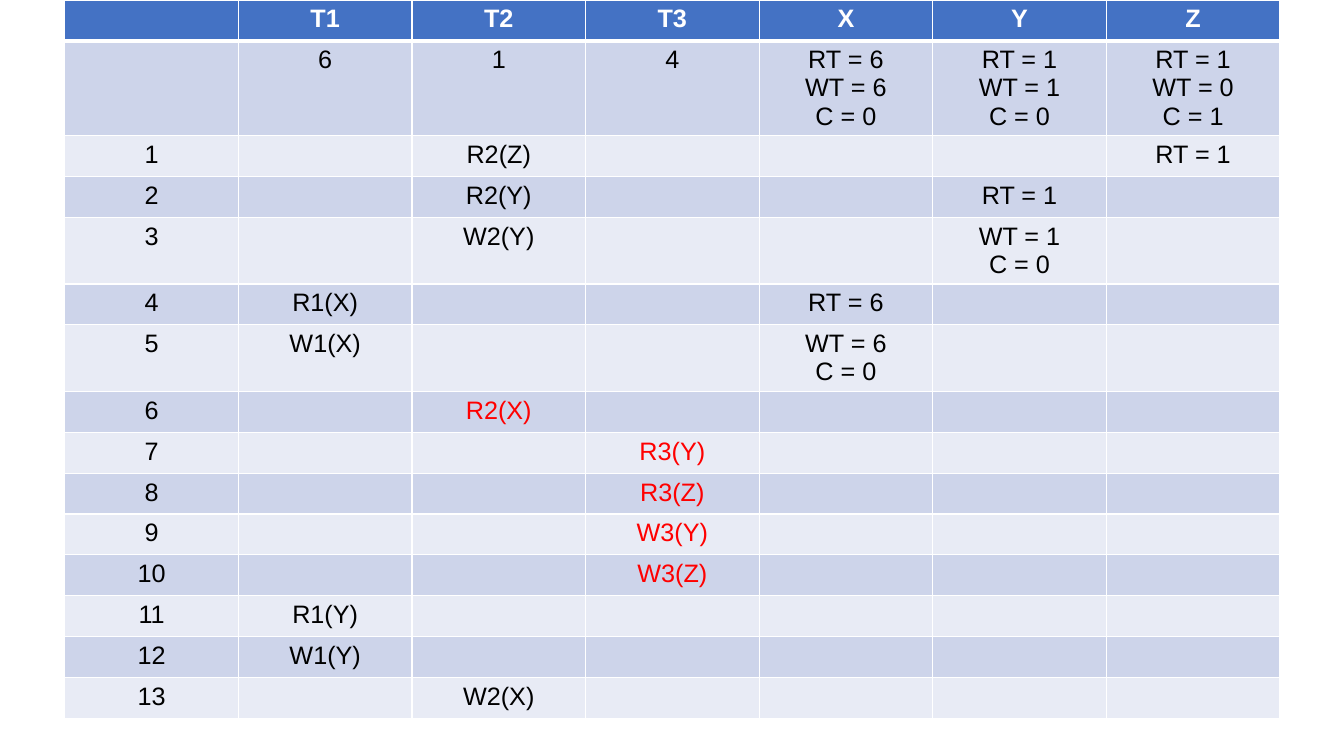
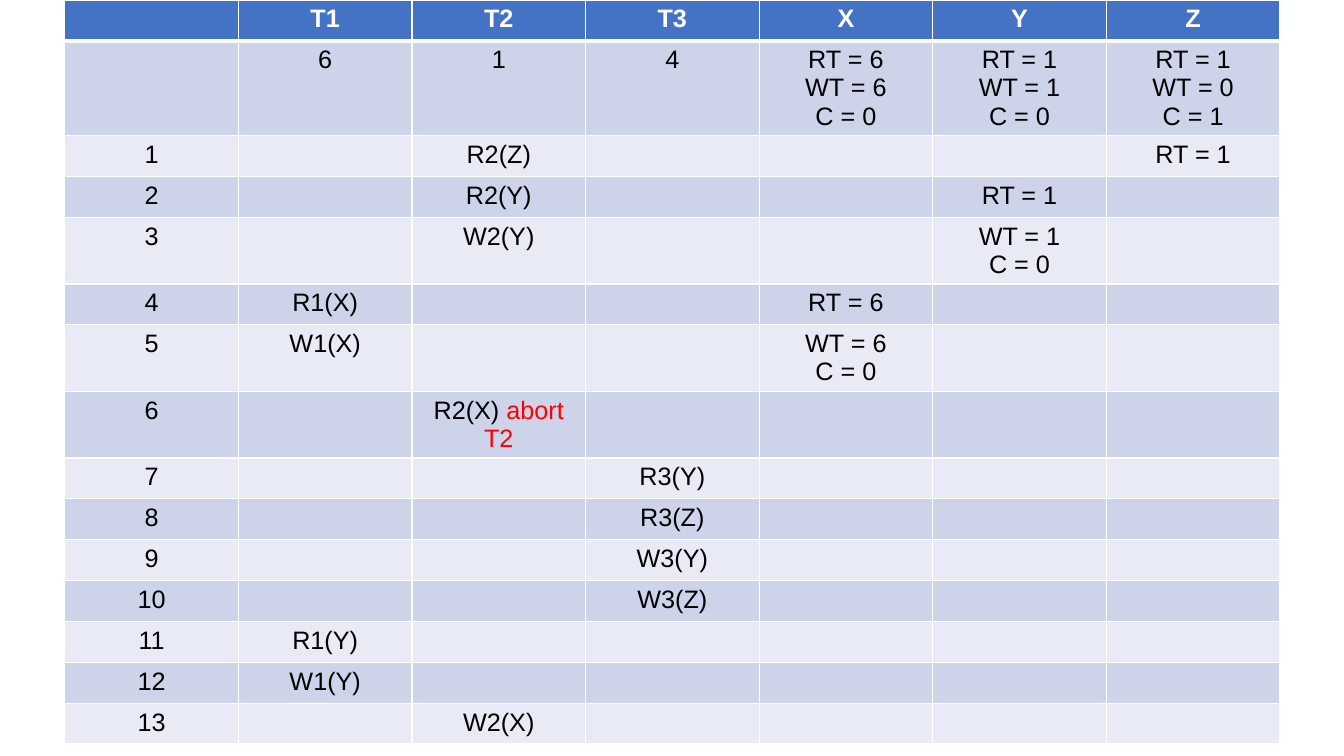
from dataclasses import dataclass

from lxml.etree import SubElement
from pptx import Presentation
from pptx.dml.color import RGBColor
from pptx.enum.text import MSO_ANCHOR, PP_ALIGN
from pptx.oxml.ns import qn
from pptx.presentation import Presentation as Deck
from pptx.table import _Cell as Cell
from pptx.util import Pt


@dataclass(frozen=True)
class Theme:
    font: str = "Arial"
    size: float = 18
    header_fill: str = "4472C4"
    band_fills: tuple[str, str] = ("CDD4EA", "E8EBF5")
    light: str = "FFFFFF"
    dark: str = "000000"
    alert: str = "FF0000"
    thin_line: float = 1
    thick_line: float = 3


@dataclass(frozen=True)
class Step:
    column: str
    operation: str
    item: str = ""
    stamps: tuple[str, ...] = ()


@dataclass(frozen=True)
class Span:
    text: str
    color: str
    bold: bool = False


@dataclass(frozen=True)
class Schedule:
    alert_steps: frozenset[int] = frozenset()
    abort_step: int = 0
    abort_note: str = ""


Paragraphs = list[list[Span]]

THEME = Theme()
PAGE_WIDTH, PAGE_HEIGHT = 960, 540
TABLE_LEFT, TABLE_TOP = 46.3, 0
COLUMN_WIDTH = 124
LINE_HEIGHT, CELL_PADDING = 20.1, 7.2

COLUMNS = ("", "T1", "T2", "T3", "X", "Y", "Z")
START_VALUES = (
    (),
    ("6",),
    ("1",),
    ("4",),
    ("RT = 6", "WT = 6", "C = 0"),
    ("RT = 1", "WT = 1", "C = 0"),
    ("RT = 1", "WT = 0", "C = 1"),
)
STEPS = (
    Step("T2", "R2(Z)", "Z", ("RT = 1",)),
    Step("T2", "R2(Y)", "Y", ("RT = 1",)),
    Step("T2", "W2(Y)", "Y", ("WT = 1", "C = 0")),
    Step("T1", "R1(X)", "X", ("RT = 6",)),
    Step("T1", "W1(X)", "X", ("WT = 6", "C = 0")),
    Step("T2", "R2(X)"),
    Step("T3", "R3(Y)"),
    Step("T3", "R3(Z)"),
    Step("T3", "W3(Y)"),
    Step("T3", "W3(Z)"),
    Step("T1", "R1(Y)"),
    Step("T1", "W1(Y)"),
    Step("T2", "W2(X)"),
)
SCHEDULES = (
    Schedule(alert_steps=frozenset(range(6, 11))),
    Schedule(abort_step=6, abort_note="abort T2"),
)


def plain(*lines: str) -> Paragraphs:
    return [[Span(line, THEME.dark)] for line in lines]


def step_row(number: int, step: Step, schedule: Schedule) -> list[Paragraphs]:
    row: dict[str, Paragraphs] = {name: [] for name in COLUMNS}
    row[""] = plain(str(number))
    color = THEME.alert if number in schedule.alert_steps else THEME.dark
    spans = [Span(step.operation, color)]
    if number == schedule.abort_step:
        spans = [Span(f"{step.operation} ", color), Span(schedule.abort_note, THEME.alert)]
    row[step.column] = [spans]
    if step.item:
        row[step.item] = plain(*step.stamps)
    return list(row.values())


def table_rows(schedule: Schedule) -> list[list[Paragraphs]]:
    header = [[[Span(name, THEME.light, True)]] if name else [] for name in COLUMNS]
    start = [plain(*lines) for lines in START_VALUES]
    steps = [step_row(number, step, schedule) for number, step in enumerate(STEPS, 1)]
    return [header, start, *steps]


def draw_borders(cell: Cell, widths: dict[str, float]) -> None:
    properties = cell._tc.get_or_add_tcPr()
    for side, width in widths.items():
        line = SubElement(properties, qn(f"a:ln{side}"), w=str(Pt(width)))
        fill = SubElement(line, qn("a:solidFill"))
        SubElement(fill, qn("a:srgbClr"), val=THEME.light)


def write_cell(cell: Cell, paragraphs: Paragraphs) -> None:
    frame = cell.text_frame
    for index, spans in enumerate(paragraphs or [[]]):
        para = frame.add_paragraph() if index else frame.paragraphs[0]
        para.alignment = PP_ALIGN.CENTER
        para.font.size = Pt(THEME.size)
        for span in spans:
            run = para.add_run()
            run.text = span.text
            formats = {"name": THEME.font, "size": Pt(THEME.size), "bold": span.bold}
            for attribute, value in formats.items():
                setattr(run.font, attribute, value)
            run.font.color.rgb = RGBColor.from_string(span.color)


def format_cell(cell: Cell, row_index: int) -> None:
    top = THEME.thick_line if row_index == 1 else THEME.thin_line
    bottom = THEME.thick_line if row_index == 0 else THEME.thin_line
    draw_borders(cell, {"L": THEME.thin_line, "R": THEME.thin_line, "T": top, "B": bottom})
    fill = THEME.band_fills[(row_index - 1) % 2] if row_index else THEME.header_fill
    cell.fill.solid()
    cell.fill.fore_color.rgb = RGBColor.from_string(fill)
    formats = {
        "margin_left": Pt(CELL_PADDING),
        "margin_right": Pt(CELL_PADDING),
        "margin_top": Pt(CELL_PADDING / 2),
        "margin_bottom": Pt(CELL_PADDING / 2),
        "vertical_anchor": MSO_ANCHOR.TOP,
    }
    for attribute, value in formats.items():
        setattr(cell, attribute, value)


def row_height(row_index: int, row: list[Paragraphs], schedule: Schedule) -> float:
    lines = max(len(paragraphs) for paragraphs in row)
    if schedule.abort_step and row_index == schedule.abort_step + 1:
        lines += 1
    return lines * LINE_HEIGHT + CELL_PADDING


def add_schedule_page(deck: Deck, schedule: Schedule) -> None:
    page = deck.slides.add_slide(deck.slide_layouts[6])
    rows = table_rows(schedule)
    heights = [row_height(index, row, schedule) for index, row in enumerate(rows)]
    frame = page.shapes.add_table(
        len(rows), len(COLUMNS), Pt(TABLE_LEFT), Pt(TABLE_TOP),
        Pt(COLUMN_WIDTH * len(COLUMNS)), Pt(sum(heights)),
    )
    table = frame.table
    for column in table.columns:
        column.width = Pt(COLUMN_WIDTH)
    for row_index, row in enumerate(rows):
        table.rows[row_index].height = Pt(heights[row_index])
        for column_index, paragraphs in enumerate(row):
            cell = table.cell(row_index, column_index)
            format_cell(cell, row_index)
            write_cell(cell, paragraphs)


def main() -> None:
    deck = Presentation()
    deck.slide_width, deck.slide_height = Pt(PAGE_WIDTH), Pt(PAGE_HEIGHT)
    for schedule in SCHEDULES:
        add_schedule_page(deck, schedule)
    deck.save("out.pptx")


if __name__ == "__main__":
    main()
